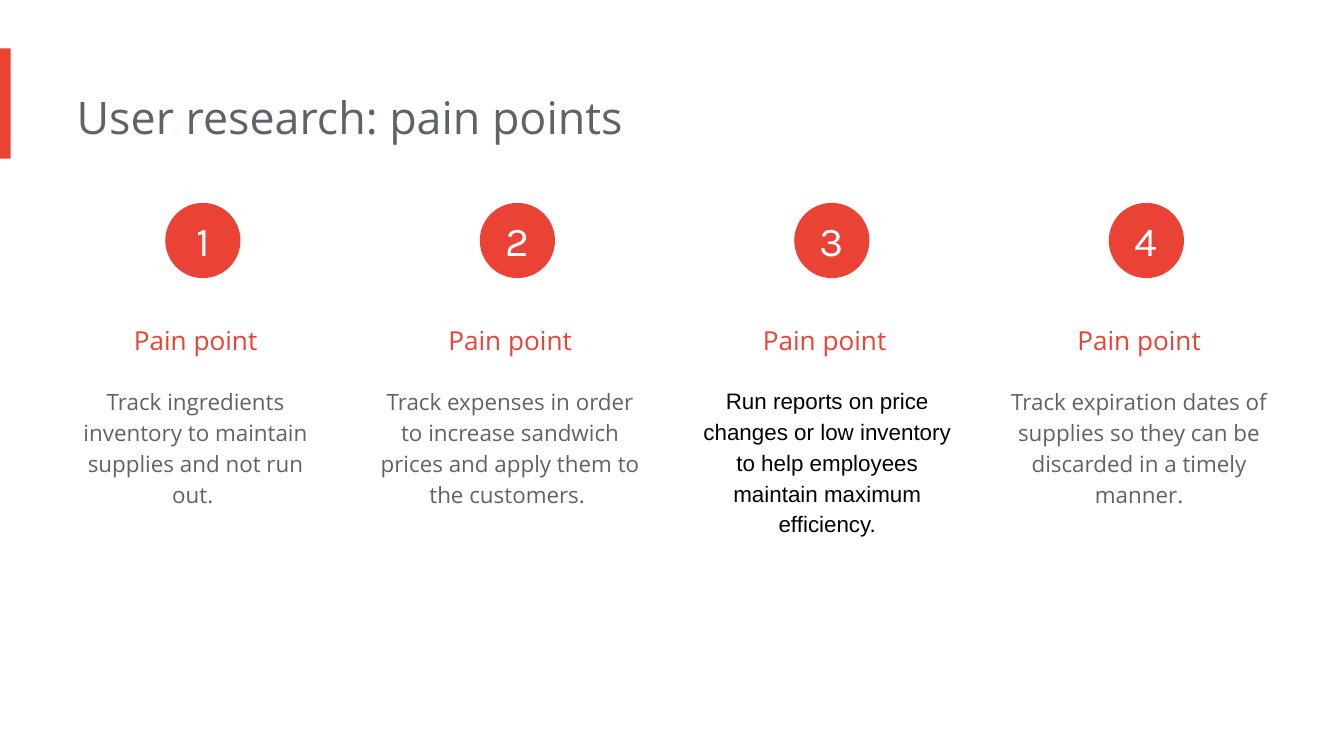
"""Build a slide with four numbered pain points from user research."""
import dataclasses

import pptx
import pptx.dml.color
import pptx.enum.shapes
import pptx.enum.text
import pptx.util

Inches = pptx.util.Inches
ALIGN = pptx.enum.text.PP_ALIGN
ANCHOR = pptx.enum.text.MSO_ANCHOR
SHAPE = pptx.enum.shapes.MSO_SHAPE


@dataclasses.dataclass(frozen=True)
class Theme:
    """Colours, fonts and type sizes of the slide."""
    red: str = "EA4335"
    grey: str = "5F6368"
    black: str = "000000"
    white: str = "FFFFFF"
    font: str = "Open Sans"
    plain_font: str = "Arial"
    number_font: str = "Karla"
    title_size: int = 24
    number_size: int = 22
    heading_size: int = 14
    body_size: int = 12


THEME = Theme()


@dataclasses.dataclass(frozen=True)
class PainPoint:
    """Description of one pain point and how it is set."""
    text: str
    font: str = THEME.font
    colour: str = THEME.grey
    shift: float = 0
    top: float = 2.76
    height: float = 1.13


PAGE_WIDTH = 10
PAGE_HEIGHT = PAGE_WIDTH * 9 / 16
COLUMN_STEP = 2.34
COLUMN_LEFT = 0.48
COLUMN_WIDTH = 2.05
CIRCLE_LEFT = 1.23
CIRCLE_SIZE = 0.56
PAIN_POINTS = [
    PainPoint("Track ingredients inventory to maintain supplies and not run out. "),
    PainPoint("Track expenses in order to increase sandwich prices "
              "and apply them to the customers. "),
    PainPoint("Run reports on price changes or low inventory "
              "to help employees maintain maximum efficiency.",
              THEME.plain_font, THEME.black, shift=0.02, top=2.75, height=1.36),
    PainPoint("Track expiration dates of supplies so they can be "
              "discarded in a timely manner."),
]


def apply_format(target, values):
    """Set each named attribute of the target."""
    for name, value in values.items():
        setattr(target, name, value)


def write_text(shape, text, size, font, colour, align=ALIGN.CENTER,
               spacing=1.0, anchor=ANCHOR.TOP, inset=0.1):
    """Write one formatted paragraph into a shape."""
    frame = shape.text_frame
    apply_format(frame, {
        "word_wrap": True,
        "auto_size": pptx.enum.text.MSO_AUTO_SIZE.NONE,
        "vertical_anchor": anchor,
        "margin_left": 0,
        "margin_top": Inches(inset),
        "margin_right": Inches(inset),
        "margin_bottom": Inches(inset),
    })
    para = frame.paragraphs[0]
    apply_format(para, {"alignment": align, "line_spacing": spacing})
    span = para.add_run()
    span.text = text
    apply_format(span.font, {"size": pptx.util.Pt(size), "name": font})
    span.font.color.rgb = pptx.dml.color.RGBColor.from_string(colour)


def add_title(page, text):
    """Place the title placeholder and fill it."""
    title = page.shapes.title
    apply_format(title, {"left": Inches(0.57), "top": Inches(0.57),
                         "width": Inches(6.73), "height": Inches(0.61)})
    write_text(title, text, THEME.title_size, THEME.font, THEME.grey, ALIGN.LEFT)


def add_text(page, left, top, height, text, size, font, colour, spacing):
    """Add a centred text box of column width."""
    box = page.shapes.add_textbox(
        Inches(left), Inches(top), Inches(COLUMN_WIDTH), Inches(height))
    write_text(box, text, size, font, colour, spacing=spacing)


def add_red_shape(page, kind, left, top, width, height):
    """Add a flat red shape without an outline."""
    shape = page.shapes.add_shape(
        kind, Inches(left), Inches(top), Inches(width), Inches(height))
    shape.shadow.inherit = False
    shape.fill.solid()
    shape.fill.fore_color.rgb = pptx.dml.color.RGBColor.from_string(THEME.red)
    shape.line.fill.background()
    return shape


def add_pain_point(page, index, point):
    """Add one column: numbered circle, heading and description."""
    offset = index * COLUMN_STEP
    circle = add_red_shape(page, SHAPE.OVAL, CIRCLE_LEFT + offset, 1.51,
                           CIRCLE_SIZE, CIRCLE_SIZE)
    write_text(circle, str(index + 1), THEME.number_size, THEME.number_font,
               THEME.white, anchor=ANCHOR.MIDDLE, inset=0)
    left = COLUMN_LEFT + offset
    add_text(page, left, 2.2, 0.44, "Pain point", THEME.heading_size,
             THEME.font, THEME.red, 1.5)
    add_text(page, left + point.shift, point.top, point.height, point.text,
             THEME.body_size, point.font, point.colour, 1.15)


def main():
    """Build and save the deck."""
    deck = pptx.Presentation()
    apply_format(deck, {"slide_width": Inches(PAGE_WIDTH),
                        "slide_height": Inches(PAGE_HEIGHT)})
    page = deck.slides.add_slide(deck.slide_layouts[5])
    add_red_shape(page, SHAPE.RECTANGLE, 0, 0.36, 0.08, 0.82)
    add_title(page, "User research: pain points")
    for index, point in enumerate(PAIN_POINTS):
        add_pain_point(page, index, point)
    deck.save("out.pptx")


if __name__ == "__main__":
    main()
